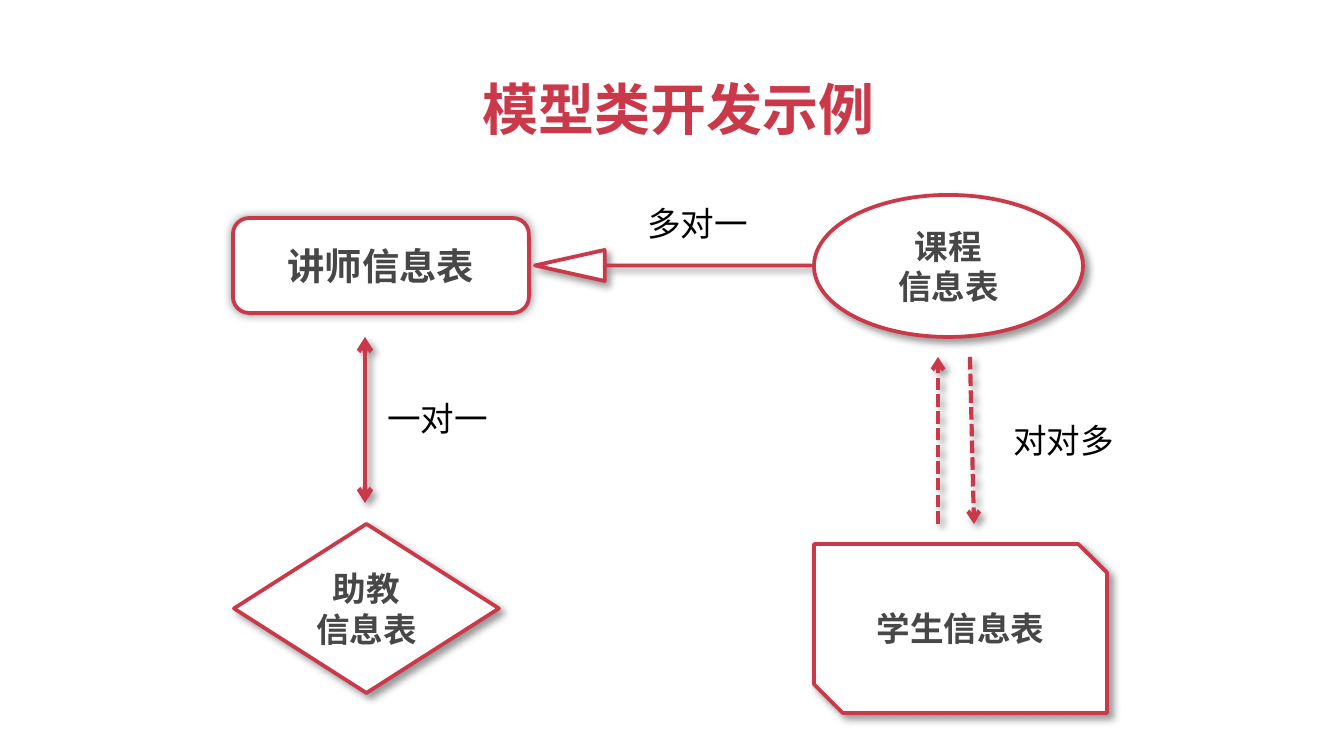
import lxml.etree
import pptx
import pptx.dml.color
import pptx.enum.dml
import pptx.enum.shapes
import pptx.enum.text
import pptx.oxml.ns
import pptx.util

SCALE = 914400 / 134.4
FACE = "Noto Sans CJK SC"
COLORS = {"red": "C9394A", "gray": "474747", "black": "000000", "white": "FFFFFF"}
KIND = pptx.enum.shapes.MSO_SHAPE
ALIGN = pptx.enum.text.PP_ALIGN
MID = pptx.enum.text.MSO_ANCHOR.MIDDLE
DASH = pptx.enum.dml.MSO_LINE.SQUARE_DOT
CAST = {"blur": 4, "dist": 3, "angle": 45}
GLOW = {"blur": 5, "dist": 0, "angle": 0}


def px(*nums):
    return [pptx.util.Emu(round(num * SCALE)) for num in nums]


def tint(name):
    return pptx.dml.color.RGBColor.from_string(COLORS[name])


def apply(item, form):
    for key, val in form.items():
        setattr(item, key, val)


def add_node(root, tag, **attrs):
    node = lxml.etree.SubElement(root, pptx.oxml.ns.qn(tag))
    for key, val in attrs.items():
        node.set(key, str(val))
    return node


def add_shade(item, blur, dist, angle):
    root = add_node(item._element.spPr, "a:effectLst")
    shade = add_node(root, "a:outerShdw", blurRad=pptx.util.Pt(blur),
                     dist=pptx.util.Pt(dist), dir=angle * 60000,
                     algn="ctr", rotWithShape=0)
    color = add_node(shade, "a:srgbClr", val=COLORS["black"])
    add_node(color, "a:alpha", val=40000)


def set_line(line, width):
    line.color.rgb = tint("red")
    line.width = pptx.util.Pt(width)


def write(frame, text, size, color, bold=False, align=ALIGN.CENTER, **form):
    apply(frame, {"word_wrap": True, **form})
    for num, words in enumerate(text.split("\n")):
        para = frame.add_paragraph() if num else frame.paragraphs[0]
        para.alignment = align
        run = para.add_run()
        run.text = words
        apply(run.font, {"name": FACE, "size": pptx.util.Pt(size), "bold": bold})
        run.font.color.rgb = tint(color)
        add_node(run._r.get_or_add_rPr(), "a:ea", typeface=FACE)


def add_box(slide, kind, area, text="", size=18, adjust=(), shade=CAST):
    box = slide.shapes.add_shape(kind, *px(*area))
    for num, val in enumerate(adjust):
        box.adjustments[num] = val
    box.fill.solid()
    box.fill.fore_color.rgb = tint("white")
    set_line(box.line, 2)
    add_shade(box, **shade)
    if text:
        write(box.text_frame, text, size, "gray", True, vertical_anchor=MID)


def add_link(slide, ends, width, dash=None, heads=("tailEnd",)):
    straight = pptx.enum.shapes.MSO_CONNECTOR.STRAIGHT
    link = slide.shapes.add_connector(straight, *px(*ends))
    set_line(link.line, width)
    if dash:
        link.line.dash_style = dash
    root = link._element.spPr.find(pptx.oxml.ns.qn("a:ln"))
    for head in heads:
        add_node(root, "a:" + head, type="arrow")
    add_shade(link, **CAST)


def add_text(slide, area, text, size, color, **form):
    box = slide.shapes.add_textbox(*px(*area))
    write(box.text_frame, text, size, color, **form)


def main():
    deck = pptx.Presentation()
    wide, high = px(1344, 756)
    apply(deck, {"slide_width": wide, "slide_height": high})
    slide = deck.slides.add_slide(deck.slide_layouts[6])
    add_text(slide, (58, 71, 1242, 75), "模型类开发示例", 30, "red",
             bold=True, vertical_anchor=MID)

    add_box(slide, KIND.ROUNDED_RECTANGLE, (233, 218, 296, 95), "讲师信息表", 20,
            (0.17,), GLOW)
    add_box(slide, KIND.LEFT_ARROW, (535, 250, 276, 31), adjust=(0, 2.25))
    add_box(slide, KIND.OVAL, (814, 195, 269, 142), "课程\n信息表")
    add_box(slide, KIND.SNIP_2_DIAG_RECTANGLE, (814, 544, 293, 169), "学生信息表",
            adjust=(0, 0.17))
    add_box(slide, KIND.DIAMOND, (234, 524, 265, 169), "助教\n信息表")

    add_link(slide, (970, 357, 974, 524), 2.25, DASH)
    add_link(slide, (365, 337, 365, 503), 2.5, heads=("headEnd", "tailEnd"))
    add_link(slide, (938, 524, 938, 357), 2.25, DASH)

    for left, top, text in ((374, 391, "一对一"), (634, 196, "多对一"),
                            (1000, 413, "对对多")):
        add_text(slide, (left, top, 137, 54), text, 18, "black", align=ALIGN.LEFT)
    deck.save("out.pptx")


if __name__ == "__main__":
    main()
